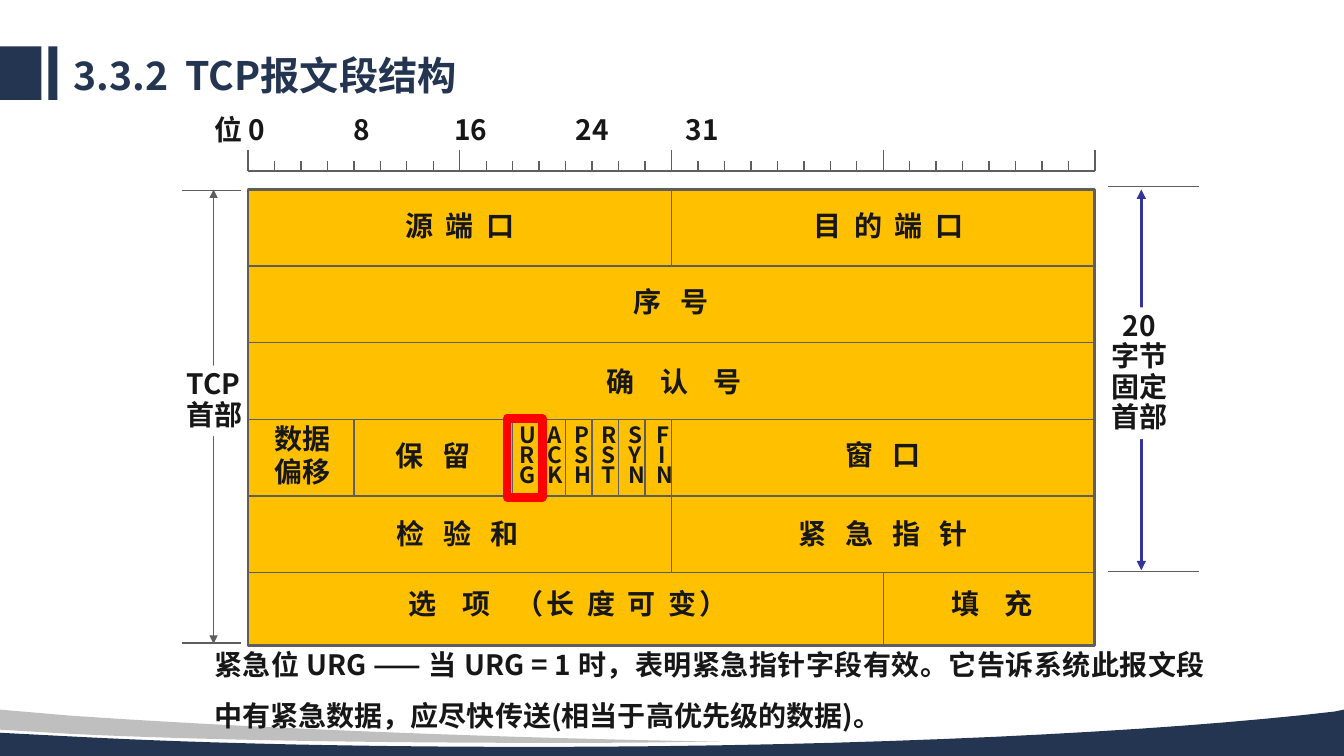
from lxml import etree
from pptx import Presentation
from pptx.dml.color import RGBColor
from pptx.enum.shapes import MSO_CONNECTOR, MSO_SHAPE
from pptx.enum.text import MSO_ANCHOR, MSO_AUTO_SIZE, PP_ALIGN
from pptx.oxml.ns import qn
from pptx.util import Inches, Pt

STRAIGHT, RECTANGLE = MSO_CONNECTOR.STRAIGHT, MSO_SHAPE.RECTANGLE
LEFT, CENTER, JUSTIFY = PP_ALIGN.LEFT, PP_ALIGN.CENTER, PP_ALIGN.JUSTIFY
GROW, FIXED = MSO_AUTO_SIZE.SHAPE_TO_FIT_TEXT, MSO_AUTO_SIZE.NONE
TOP, MIDDLE = MSO_ANCHOR.TOP, MSO_ANCHOR.MIDDLE

WIDTH, HEIGHT = 13.33, 7.5
GRID_LEFT, GRID_TOP = 2.46, 1.88  # corner of the header table
BIT, ROW = 8.4 / 32, 0.76  # one bit column, one 32-bit row
BOTTOM = 5.95  # the options row is slightly shorter

NAVY, SILVER, GOLD, WHITE = "243551", "BFBFBF", "FFC000", "FFFFFF"
GREY, INK, BLUE, RED = "5E5E5E", "171717", "333399", "FF0000"
BODY_FONT, TITLE_FONT = "Noto Sans CJK JP", "Noto Sans CJK SC"


def color(value):
    return RGBColor.from_string(value)


def cells(column, row, columns, rows):
    """Frame given in bit columns and header rows."""
    return (Inches(GRID_LEFT + column * BIT), Inches(GRID_TOP + row * ROW),
            Inches(columns * BIT), Inches(rows * ROW))


def share(left, top, width=0, height=0):
    """Frame given in percent of the slide."""
    return (Inches(left * WIDTH / 100), Inches(top * HEIGHT / 100),
            Inches(width * WIDTH / 100), Inches(height * HEIGHT / 100))


class SegmentSlide:
    def __init__(self, deck):
        self.page = deck.slides.add_slide(deck.slide_layouts[5])
        self.shapes = self.page.shapes

    def paint(self, shape, fill=None, line=None, weight=1):
        shape.shadow.inherit = False
        if fill:
            shape.fill.solid()
            shape.fill.fore_color.rgb = color(fill)
        else:
            shape.fill.background()
        if line:
            shape.line.color.rgb = color(line)
            shape.line.width = Pt(weight)
        else:
            shape.line.fill.background()

    def block(self, frame, fill=None, line=None, weight=1):
        box = self.shapes.add_shape(RECTANGLE, *frame)
        self.paint(box, fill, line, weight)
        return box

    def outline(self, steps, fill):
        """Closed outline: a step of 2 numbers is a corner, of 6 a curve."""
        points = []
        for step in steps:
            if len(step) == 2:
                points.append(step)
                continue
            start, (a, b, c, d, e, f) = points[-1], step
            for t in (n / 16 for n in range(1, 17)):
                u = 1 - t
                weights = u ** 3, 3 * u * u * t, 3 * u * t * t, t ** 3
                points.append(tuple(sum(w * v for w, v in zip(weights, axis))
                                    for axis in ((start[0], a, c, e), (start[1], b, d, f))))
        corners = [share(*point)[:2] for point in points]
        builder = self.shapes.build_freeform(*corners[0], scale=1.0)
        builder.add_line_segments(corners[1:], close=True)
        self.paint(builder.convert_to_shape(), fill)

    def rule(self, start, end, line=GREY, weight=1, arrows=False):
        x1, y1 = cells(*start, 0, 0)[:2]
        x2, y2 = cells(*end, 0, 0)[:2]
        rule = self.shapes.add_connector(STRAIGHT, x1, y1, x2, y2)
        rule.line.color.rgb = color(line)
        rule.line.width = Pt(weight)
        properties = rule._element.spPr
        if arrows:
            for tag in ("a:headEnd", "a:tailEnd"):
                etree.SubElement(properties.find(qn("a:ln")), qn(tag), type="triangle")
        etree.SubElement(properties, qn("a:effectLst"))

    def fill_text(self, box, paragraphs, size=20, align=LEFT, spacing=1.0, wrap=False,
                  font=BODY_FONT, ink=INK, tabs=(), fit=GROW, anchor=TOP):
        """Each paragraph is a list of (text, letter spacing in points)."""
        frame = box.text_frame
        frame.word_wrap, frame.auto_size, frame.vertical_anchor = wrap, fit, anchor
        for index, pieces in enumerate(paragraphs):
            para = frame.add_paragraph() if index else frame.paragraphs[0]
            if tabs:
                stops = etree.SubElement(para._p.get_or_add_pPr(), qn("a:tabLst"))
                for stop in tabs:
                    etree.SubElement(stops, qn("a:tab"), pos=str(Inches(stop * BIT)), algn="l")
            para.text = pieces[0][0]
            for piece in pieces[1:]:
                para.add_run().text = piece[0]
            para.alignment, para.line_spacing = align, spacing
            for span, (_, gap) in zip(para.runs, pieces):
                span.font.size, span.font.bold = Pt(size), True
                span.font.name, span.font.color.rgb = font, color(ink)
                properties = span._r.get_or_add_rPr()
                etree.SubElement(properties, qn("a:ea"), typeface=font)
                if gap:
                    properties.set("spc", str(int(gap * 100)))

    def label(self, frame, paragraphs, **style):
        self.fill_text(self.shapes.add_textbox(*frame), paragraphs, **style)

    def title(self, frame, pieces):
        box = self.shapes.title
        box.left, box.top, box.width, box.height = frame
        self.fill_text(box, [pieces], size=28, spacing=0.9, wrap=True, font=TITLE_FONT,
                       ink=NAVY, fit=FIXED, anchor=MIDDLE)


def main():
    deck = Presentation()
    deck.slide_width, deck.slide_height = Inches(WIDTH), Inches(HEIGHT)
    slide = SegmentSlide(deck)

    # Title bars and footer waves
    for left, width in ((0, 3.08), (3.6, 0.68)):
        slide.block(share(left, 6.13, width, 7.07), NAVY)
    slide.outline([(100, 93.87), (100, 100), (0, 100), (0, 96.93), (5.78, 97.47),
                   (15.9, 98.4, 27.5, 98.8, 39.9, 98.8),
                   (64.65, 98.8, 86.48, 96.8, 99.3, 94.13)], NAVY)
    slide.outline([(0, 93.87), (5.25, 94.67), (17.18, 96.13, 31.28, 97.2, 46.65, 97.87),
                   (53.63, 98.13), (51.3, 98.13), (48, 98.27, 44.55, 98.27, 41.1, 98.27),
                   (27.08, 98.27, 14.4, 97.87, 5.18, 97.07), (0, 96.53)], SILVER)
    slide.title(share(4.73, 6.8, 74.87, 6.93),
                [("3.3.2", 0), (" ", 6), ("TCP报文段结构", 0)])

    # Height arrows with their captions
    slide.rule((-1.3, 0), (-1.3, 5.93), arrows=True)
    slide.rule((33.75, 0), (33.75, 4.97), BLUE, 2.25, arrows=True)
    for frame, lines, align in (
            (cells(-2.7, 2.3, 2.9, 0.92), ("TCP", "首部"), LEFT),
            (cells(32.23, 1.54, 2.9, 1.72), ("20", "字节", "固定", "首部"), CENTER)):
        slide.fill_text(slide.block(frame, WHITE), [[(line, 0)] for line in lines],
                        align=align, spacing=0.9)
    for left, right, rows in ((-2.48, -0.27, (0.01, 5.92)), (32.5, 35.92, (-0.04, 4.99))):
        for row in rows:
            slide.rule((left, row), (right, row))

    # Header table with its dividers
    slide.block(cells(0, 0, 32, BOTTOM), GOLD, GREY, 2)
    for row in range(1, 6):
        slide.rule((0, row), (32, row))
    dividers = [(16, 0, 1), (16, 3, 5), (4, 3, 4), (24, 5, BOTTOM)]
    dividers += [(bit, 3, 4) for bit in range(10, 16)]
    for bit, top, bottom in dividers:
        slide.rule((bit, top), (bit, bottom))

    # Field names: centre column, top row, width in columns, paragraphs
    fields = (
        (8, 0.18, 6.1, [[("源 端 口", 2.25)]]),
        (24.2, 0.18, 8.2, [[("目 的 端 口", 2.25)]]),
        (16, 1.17, 5.7, [[("序 号", 4.5)]]),
        (16.1, 2.22, 8, [[("确 认 号", 6.75)]]),
        (2.05, 2.96, 2.9, [[("数据", 0)], [("偏移", 0)]]),
        (7, 3.18, 4.5, [[("保 留", 4.5)]]),
        (24, 3.17, 4.5, [[("窗 口", 4.5)]]),
        (7.9, 4.2, 7.2, [[("检 验 和", 4.5)]]),
        (24, 4.2, 9.8, [[("紧 急 指 针", 4.5)]]),
        (12.1, 5.12, 14, [[("选 项 ", 6.75), ("（长 度 可 变）", 2.25)]]),
        (28.1, 5.12, 5.2, [[("填 充", 6.75)]]),
    )
    for center, top, width, paragraphs in fields:
        slide.label(cells(center - width / 2, top, width, 0.57 * len(paragraphs)),
                    paragraphs, align=CENTER)

    # Flag bits, written downwards
    for index, flag in enumerate(("URG", "ACK", "PSH", "RST", "SYN", "FIN")):
        slide.label(cells(9.9 + 1.03 * index, 3.04, 1.2, 0.92),
                    [[(letter, 0)] for letter in flag], size=16, align=CENTER, spacing=0.75)

    # Bit ruler
    slide.rule((0, -0.24), (32, -0.24))
    for bit in range(33):
        slide.rule((bit, -0.37 if bit % 8 else -0.51), (bit, -0.24))
    slide.label(cells(-1.64, -1.07, 34.4, 0.57), [[("位 0\t8\t16\t24\t31", 0)]],
                wrap=True, tabs=(5.26, 9.05, 13.65, 17.8))

    # Explanation and highlight of the URG bit
    slide.label(cells(-1.64, 5.7, 38.17, 1.46),
                [[("紧急位 URG —— 当 URG = 1 时，表明紧急指针字段有效。它告诉系统此报文段中有紧急数据，"
                   "应尽快传送(相当于高优先级的数据)。", 0)]],
                align=JUSTIFY, spacing=1.5, wrap=True)
    slide.block(cells(9.79, 2.99, 1.33, 1.03), line=RED, weight=6)

    deck.save("out.pptx")


if __name__ == "__main__":
    main()
